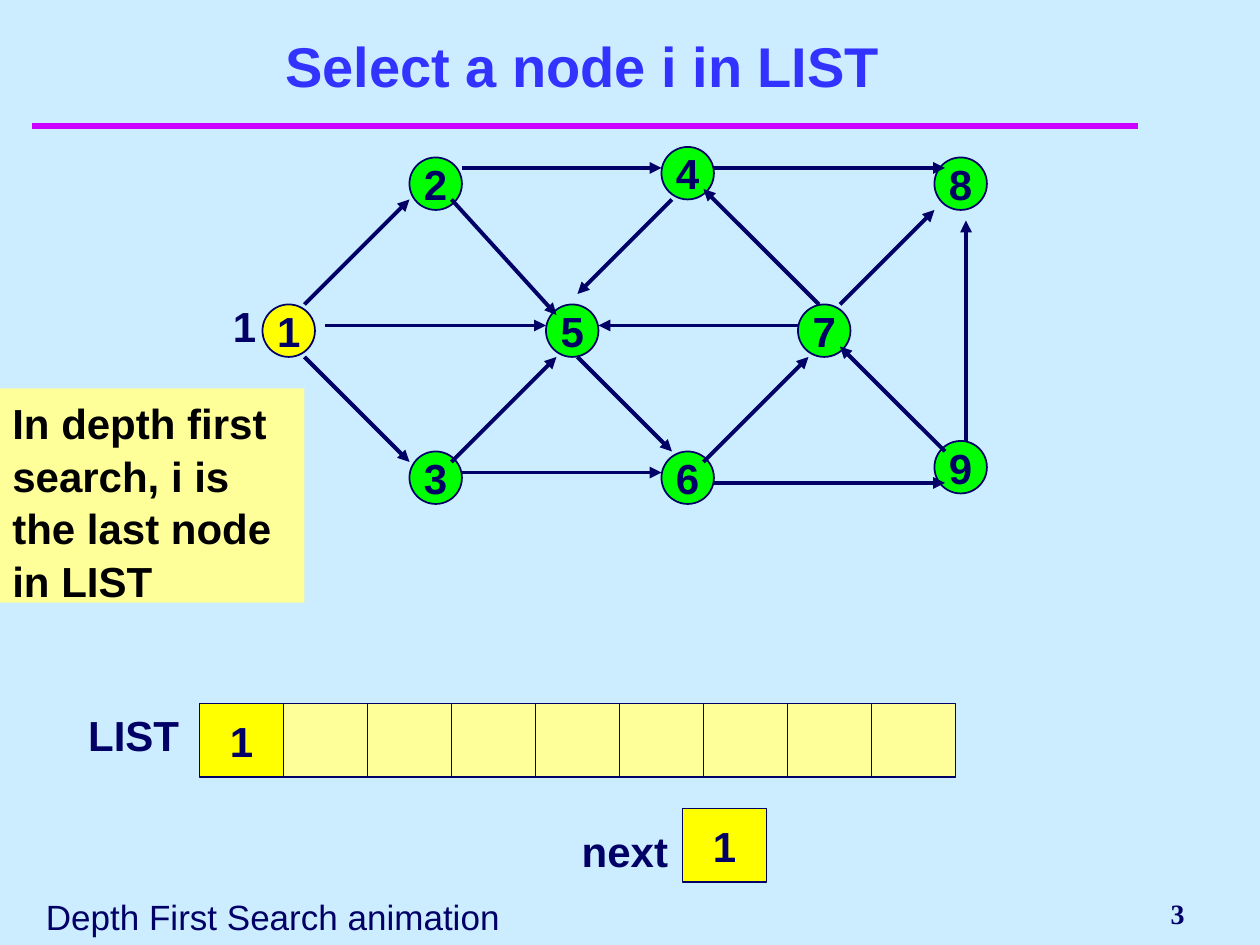
from lxml import etree
from pptx import Presentation
from pptx import util as u
from pptx.dml.color import RGBColor
from pptx.enum import shapes, text
from pptx.oxml import ns

PX = u.Inches(1) // 120
GRID = 10
COLOURS = {
    "sky": "CCECFF", "navy": "000066", "blue": "3333FF", "magenta": "CC00FF",
    "green": "00FF00", "yellow": "FFFF00", "cream": "FFFF99", "black": "000000",
}
BOLD = {"name": "Arial", "size": u.Pt(24), "bold": True}
TITLE = {**BOLD, "size": u.Pt(32)}
FOOTER = {**BOLD, "size": u.Pt(20), "bold": False}
NUMBER = {**BOLD, "name": "Times New Roman", "size": u.Pt(16)}

NODES = {
    "2": (14, 1), "4": (38, 0), "5": (27, 15), "3": (14, 29), "6": (38, 29),
    "9": (64, 28), "7": (51, 15), "8": (64, 1), "1": (0, 15),
}
ARCS = [
    (19, 2, 38, 2), (43, 2, 65, 2), (55, 15, 64, 6), (53, 15, 42, 4),
    (39, 5, 30, 14), (6, 17, 27, 17), (18, 30, 28, 20), (30, 20, 39, 29),
    (19, 31, 38, 31), (43, 32, 65, 32), (65, 29, 55, 19), (67, 28, 67, 7),
    (4, 20, 14, 30), (4, 15, 14, 5), (18, 5, 28, 16), (51, 17, 32, 17),
    (42, 30, 52, 20),
]


def rgb(name):
    return RGBColor.from_string(COLOURS[name])


def emu(values):
    return [value * PX for value in values]


def write(shape, wording, font=BOLD, colour="navy", align="LEFT", anchor="TOP",
          insets=(12, 6, 0, 6), wrap=True, spacing=1.0):
    frame = shape.text_frame
    left, top, right, bottom = emu(insets)
    frame_format = {
        "margin_left": left, "margin_top": top, "margin_right": right,
        "margin_bottom": bottom, "word_wrap": wrap,
        "auto_size": text.MSO_AUTO_SIZE.NONE,
        "vertical_anchor": getattr(text.MSO_ANCHOR, anchor),
    }
    for key, value in frame_format.items():
        setattr(frame, key, value)
    frame.text = wording
    paragraph = frame.paragraphs[0]
    paragraph.alignment = getattr(text.PP_ALIGN, align)
    paragraph.line_spacing = spacing
    for key, value in font.items():
        setattr(paragraph.font, key, value)
    paragraph.font.color.rgb = rgb(colour)


def add_label(slide, box, wording, **style):
    write(slide.shapes.add_textbox(*emu(box)), wording, **style)


def add_figure(slide, kind, box, fill, outlined=True):
    shape = slide.shapes.add_shape(getattr(shapes.MSO_SHAPE, kind), *emu(box))
    shape.shadow.inherit = False
    shape.fill.solid()
    shape.fill.fore_color.rgb = rgb(fill)
    if outlined:
        shape.line.color.rgb = rgb("navy")
        shape.line.width = u.Pt(1)
    else:
        shape.line.fill.background()
    return shape


def add_symbol(slide, kind, box, fill, symbol):
    write(add_figure(slide, kind, box, fill), symbol, align="CENTER",
          anchor="MIDDLE", insets=(0, 0, 0, 0), wrap=False)


def add_line(slide, ends, colour, width, arrow=False):
    line = slide.shapes.add_connector(shapes.MSO_CONNECTOR.STRAIGHT, *emu(ends))
    line.line.color.rgb = rgb(colour)
    line.line.width = u.Pt(width)
    if arrow:
        etree.SubElement(line.line._get_or_add_ln(), ns.qn("a:tailEnd"), type="triangle")
    etree.SubElement(line._element.spPr, ns.qn("a:effectLst"))


def add_heading(slide, box):
    left, top, width, height = box
    title = slide.shapes.title
    title.left, title.top, title.width, title.height = emu(box)
    write(title, "Select a node i in LIST", font=TITLE, colour="blue",
          align="CENTER", anchor="BOTTOM", insets=(12, 6, 42, 6))
    rule = top + height + 20
    add_line(slide, (left - 30, rule, left + width + 4, rule), "magenta", 4)


def add_network(slide, left, top):
    for name, (column, row) in NODES.items():
        box = (left + column * GRID, top + row * GRID, 50, 50)
        add_symbol(slide, "OVAL", box, "yellow" if name == "1" else "green", name)
    for x1, y1, x2, y2 in ARCS:
        ends = (left + x1 * GRID, top + y1 * GRID, left + x2 * GRID, top + y2 * GRID)
        add_line(slide, ends, "navy", 2.25, arrow=True)
    add_label(slide, (left - 40, top + 140, 40, 60), "1")


def add_note(slide, box):
    note = add_figure(slide, "RECTANGLE", box, "cream", outlined=False)
    write(note, "In depth first search, i is the last node in LIST",
          colour="black", insets=(12, 6, 12, 6), spacing=1.05)


def add_list(slide, left, top, cells=9):
    add_label(slide, (left - 140, top, 132, 60), "LIST", insets=(34, 6, 0, 6))
    add_symbol(slide, "RECTANGLE", (left, top, 80, 70), "yellow", "1")
    for index in range(1, cells):
        add_figure(slide, "RECTANGLE", (left + index * 80, top, 80, 70), "cream")


def add_next(slide, left, top):
    add_label(slide, (left, top + 10, 128, 60), "next", insets=(34, 6, 0, 6))
    add_symbol(slide, "RECTANGLE", (left + 130, top, 80, 70), "yellow", "1")


def add_footer(slide, left, top):
    add_label(slide, (left, top + 7, 456, 53), "Depth First Search animation", font=FOOTER)
    add_label(slide, (left + 878, top, 230, 60), "3", font=NUMBER,
              align="RIGHT", anchor="MIDDLE", insets=(12, 6, 12, 6))


def main():
    presentation = Presentation()
    presentation.slide_width, presentation.slide_height = emu((1200, 900))
    slide = presentation.slides.add_slide(presentation.slide_layouts[5])
    slide.background.fill.solid()
    slide.background.fill.fore_color.rgb = rgb("sky")
    add_heading(slide, (60, 30, 1020, 70))
    add_note(slide, (0, 370, 290, 204))
    add_network(slide, 250, 140)
    add_list(slide, 190, 670)
    add_next(slide, 520, 770)
    add_footer(slide, 32, 840)
    presentation.save("out.pptx")


if __name__ == "__main__":
    main()
